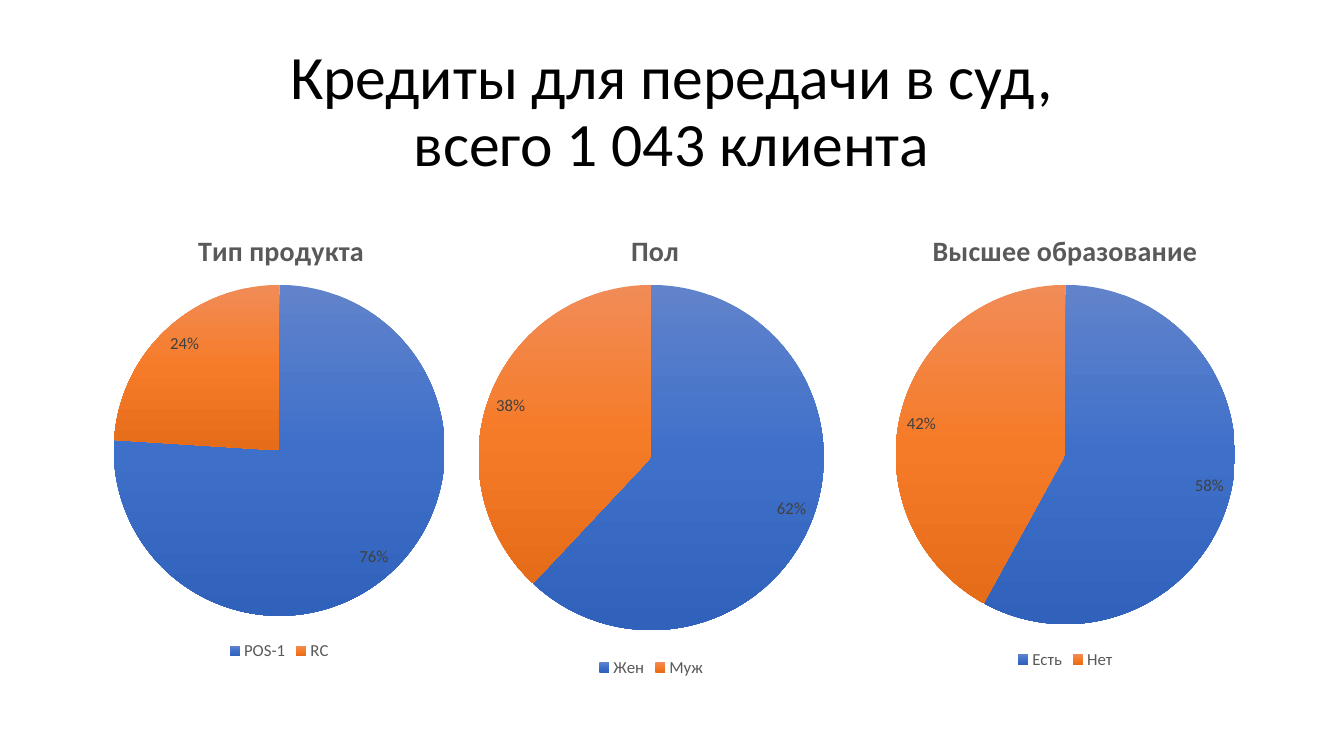
import copy

import pptx
import pptx.chart.data
import pptx.enum.chart
import pptx.enum.text
import pptx.util
from lxml import etree
from pptx.dml.color import RGBColor
from pptx.oxml.ns import qn
from pptx.util import Cm, Pt

FONT = "Calibri"
BLACK = RGBColor(0x00, 0x00, 0x00)
TITLE_GRAY = RGBColor(0x59, 0x59, 0x59)
LABEL_GRAY = RGBColor(0x40, 0x40, 0x40)
BLUES = (RGBColor(0x61, 0x83, 0xCB), RGBColor(0x3E, 0x70, 0xCA), RGBColor(0x30, 0x62, 0xBB))
ORANGES = (RGBColor(0xF1, 0x8C, 0x57), RGBColor(0xF6, 0x7B, 0x28), RGBColor(0xE5, 0x6C, 0x19))

HEADING = "Кредиты для передачи в суд,\vвсего 1\u00a0043 клиента"
# Lengths in cm
PIES = [
    {"title": "Тип продукта", "title_width": 4.35, "values": {"POS-1": 76, "RC": 24},
     "left": 2.34, "height": 11.68, "diameter": 8.34},
    {"title": "Пол", "title_width": 1.27, "values": {"Жен": 62, "Муж": 38},
     "left": 11.71, "height": 12.09, "diameter": 8.7},
    {"title": "Высшее образование", "title_width": 6.95, "values": {"Есть": 58, "Нет": 42},
     "left": 22.15, "height": 11.89, "diameter": 8.55},
]
TOP, WIDTH = 5.08, 9.4
TITLE_OFFSET, PIE_OFFSET = 0.6, 2.1


def style(font, size, color, bold=False):
    """Set face, size, colour and weight of a font."""
    font.name, font.size, font.bold = FONT, Pt(size), bold
    font.color.rgb = color


def place(parent, index, inner=False, **fractions):
    """Give a chart part a manual layout in fractions of the chart."""
    for old in parent.findall(qn("c:layout")):
        parent.remove(old)
    layout = etree.Element(qn("c:layout"))
    manual = etree.SubElement(layout, qn("c:manualLayout"))
    settings = {"layoutTarget": "inner"} if inner else {}
    settings.update(xMode="edge", yMode="edge", **fractions)
    for name, value in settings.items():
        etree.SubElement(manual, qn("c:" + name)).set("val", str(value))
    parent.insert(index, layout)


def shade(point, space, colors):
    """Fill a slice with a three-stop gradient running downwards."""
    fill = point.format.fill
    fill.gradient()
    fill.gradient_angle = 270
    stops = list(space.iter(qn("a:gsLst")))[-1]
    stops.insert(1, copy.deepcopy(stops[0]))
    for stop, color, position in zip(fill.gradient_stops, colors, (0, 0.5, 1)):
        stop.color.rgb = color
        stop.position = position
    point.format.line.fill.background()


def add_pie(s, pie):
    """Add one pie chart with its title, labels and legend."""
    data = pptx.chart.data.CategoryChartData()
    data.categories = list(pie["values"])
    data.add_series("Series 1", list(pie["values"].values()))
    height, diameter = pie["height"], pie["diameter"]
    chart = s.shapes.add_chart(
        pptx.enum.chart.XL_CHART_TYPE.PIE, Cm(pie["left"]), Cm(TOP),
        Cm(WIDTH), Cm(height), data).chart
    style(chart.font, 10, BLACK)

    chart.has_title = True
    tf = chart.chart_title.text_frame
    tf.text = pie["title"]
    style(tf.paragraphs[0].font, 20, TITLE_GRAY, bold=True)

    chart.has_legend = True
    chart.legend.position = pptx.enum.chart.XL_LEGEND_POSITION.BOTTOM
    chart.legend.include_in_layout = False
    style(chart.legend.font, 12, TITLE_GRAY)

    plot = chart.plots[0]
    plot.vary_by_categories = True
    space = chart.element if hasattr(chart, "element") else chart._chartSpace
    for i, colors in enumerate((BLUES, ORANGES)):
        shade(plot.series[0].points[i], space, colors)
    labels = plot.series[0].data_labels
    labels.show_percentage, labels.show_value = True, False
    labels.number_format, labels.number_format_is_linked = "0%", False
    labels.position = pptx.enum.chart.XL_LABEL_POSITION.INSIDE_END
    style(labels.font, 12, LABEL_GRAY)

    place(next(space.iter(qn("c:title"))), 1,
          x=(1 - pie["title_width"] / WIDTH) / 2, y=TITLE_OFFSET / height)
    place(next(space.iter(qn("c:plotArea"))), 0, inner=True,
          x=(1 - diameter / WIDTH) / 2, y=PIE_OFFSET / height,
          w=diameter / WIDTH, h=diameter / height)


prs = pptx.Presentation()
prs.slide_width, prs.slide_height = Cm(33.87), Cm(19.05)
s = prs.slides.add_slide(prs.slide_layouts[5])

title = s.shapes.title
title.left, title.top, title.width, title.height = Cm(2.33), Cm(1.01), Cm(29.21), Cm(3.68)
tf = title.text_frame
tf.text = HEADING
tf.vertical_anchor = pptx.enum.text.MSO_ANCHOR.MIDDLE
p = tf.paragraphs[0]
p.alignment = pptx.enum.text.PP_ALIGN.CENTER
p.line_spacing = 0.9
style(p.font, 44, BLACK)

for pie in PIES:
    add_pie(s, pie)

prs.save("out.pptx")
